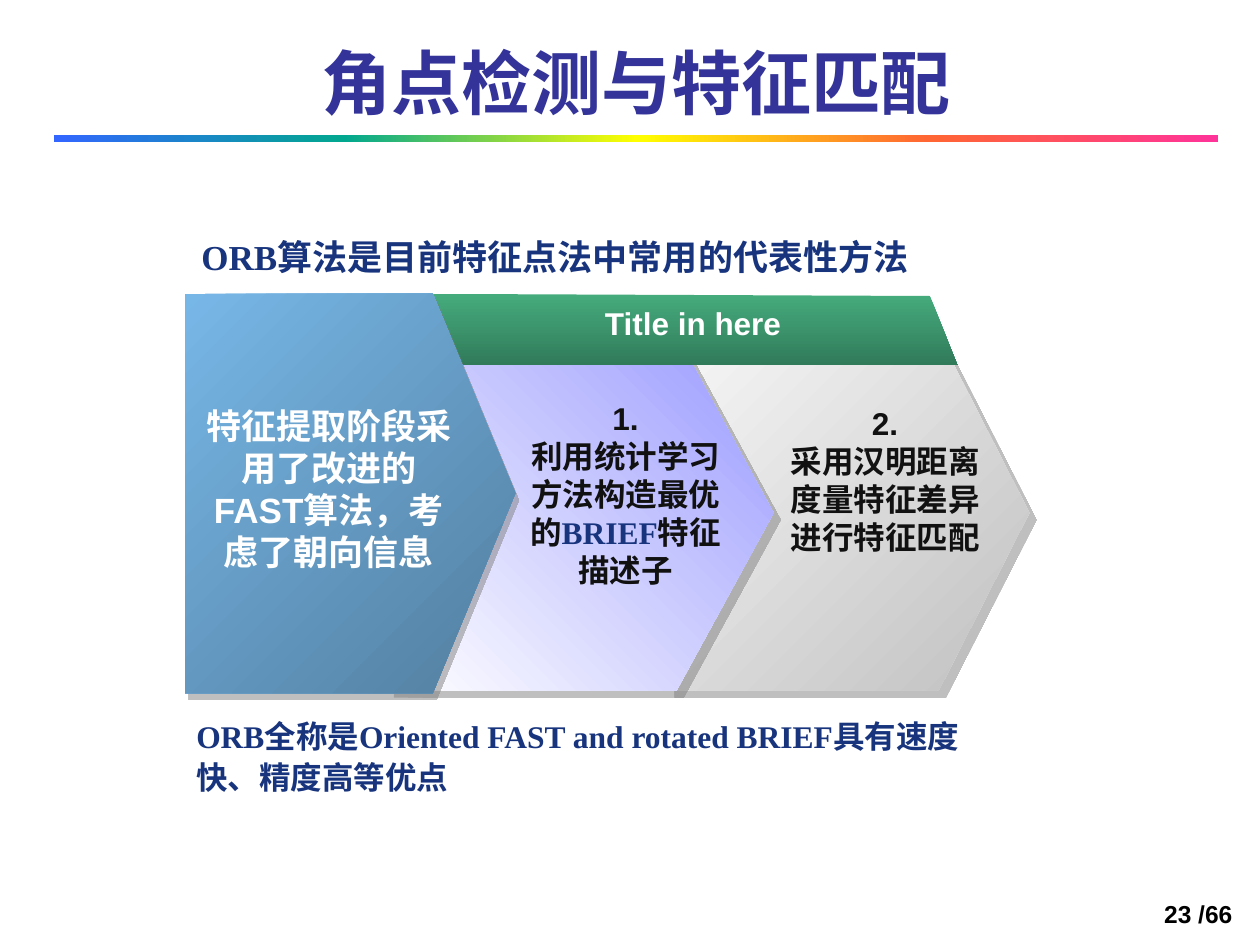
from dataclasses import dataclass
from typing import NamedTuple, Optional

from lxml import etree
from pptx import Presentation
from pptx import util as u
from pptx.dml.color import RGBColor
from pptx.enum import shapes, text
from pptx.oxml import ns

WIDTH, HEIGHT = u.Inches(10), u.Inches(7.5)


@dataclass(frozen=True)
class Theme:
    title: str = "333399"
    navy: str = "17347D"
    dark: str = "111111"
    white: str = "FFFFFF"
    black: str = "000000"
    shadow: str = "808080"
    sans: str = "Arial"
    serif: str = "Times New Roman"
    cjk: str = "Noto Sans CJK SC"
    title_pt: int = 40
    lead_pt: int = 20
    body_pt: int = 18
    page_pt: int = 14


T = Theme()


class Box(NamedTuple):
    """Left, top, width and height in percent of the slide."""
    x: float
    y: float
    w: float
    h: float

    def emu(self) -> tuple:
        return px(self.x), py(self.y), px(self.w), py(self.h)


class Stop(NamedTuple):
    pos: float
    color: str
    shade: Optional[float] = None


class Gradient(NamedTuple):
    angle: int  # clockwise degrees
    stops: list


class Shadow(NamedTuple):
    dist: float  # points
    angle: int


class Arrow(NamedTuple):
    box: Box
    adj: float
    fill: Gradient
    shadow: Shadow


class Run(NamedTuple):
    text: str
    color: str
    font: str = T.sans


class Label(NamedTuple):
    box: Box
    paragraphs: list
    size: int
    align: text.PP_ALIGN = text.PP_ALIGN.CENTER
    spacing: Optional[float] = None
    anchor: text.MSO_ANCHOR = text.MSO_ANCHOR.TOP
    fit: bool = True


def px(share: float) -> int:
    return round(WIDTH * share / 100)


def py(share: float) -> int:
    return round(HEIGHT * share / 100)


def child(parent, tag: str, **attrs):
    return etree.SubElement(parent, ns.qn(tag), {k: str(v) for k, v in attrs.items()})


def paint(sp, gradient: Gradient, shadow: Optional[Shadow] = None) -> None:
    """Give a shape a gradient, no outline and an optional hard shadow."""
    sp.fill.gradient()
    sp.line.fill.background()
    sp.shadow.inherit = False
    props = sp._element.spPr
    grad = props.find(ns.qn("a:gradFill"))
    for old in list(grad):
        grad.remove(old)
    stops = child(grad, "a:gsLst")
    for stop in gradient.stops:
        gs = child(stops, "a:gs", pos=round(stop.pos * 1000))
        color = child(gs, "a:srgbClr", val=stop.color)
        if stop.shade:
            child(color, "a:shade", val=round(stop.shade * 1000))
    child(grad, "a:lin", ang=gradient.angle * 60000, scaled=0)
    if shadow:
        outer = child(props.find(ns.qn("a:effectLst")), "a:outerShdw", blurRad=0,
                      dist=u.Pt(shadow.dist), dir=shadow.angle * 60000,
                      algn="ctr", rotWithShape=0)
        child(child(outer, "a:srgbClr", val=T.shadow), "a:alpha", val=50000)


def add_run(p, run: Run, size: int) -> None:
    r = p.add_run()
    r.text = run.text
    r.font.size, r.font.bold, r.font.name = u.Pt(size), True, run.font
    r.font.color.rgb = RGBColor.from_string(run.color)
    child(r._r.get_or_add_rPr(), "a:ea", typeface=T.cjk)


def write(sp, label: Label) -> None:
    sp.left, sp.top, sp.width, sp.height = label.box.emu()
    tf = sp.text_frame
    tf.word_wrap = True
    tf.vertical_anchor = label.anchor
    tf.auto_size = (text.MSO_AUTO_SIZE.SHAPE_TO_FIT_TEXT if label.fit
                    else text.MSO_AUTO_SIZE.NONE)
    for i, runs in enumerate(label.paragraphs):
        p = tf.add_paragraph() if i else tf.paragraphs[0]
        p.alignment = label.align
        if label.spacing:
            p.line_spacing = label.spacing
        for run in runs:
            add_run(p, run, label.size)


def add_arrow(slide, arrow: Arrow) -> None:
    sp = slide.shapes.add_shape(shapes.MSO_SHAPE.PENTAGON, *arrow.box.emu())
    sp.adjustments[0] = arrow.adj
    paint(sp, arrow.fill, arrow.shadow)


def add_banner(slide, points: list, fill: Gradient) -> None:
    corners = [(px(x), py(y)) for x, y in points]
    builder = slide.shapes.build_freeform(*corners[0])
    builder.add_line_segments(corners[1:], close=True)
    paint(builder.convert_to_shape(), fill)


# Gradients
RAINBOW = Gradient(0, [Stop(0, "3366FF"), Stop(25, "01A78F"), Stop(50, "FFFF00"),
                       Stop(75, "FF6633"), Stop(100, "FF3399")])
GRAY = Gradient(45, [Stop(0, "F7F7F7"), Stop(100, "C0C0C0")])
LILAC = Gradient(315, [Stop(0, "FFFFFF"), Stop(100, "9999FF")])
GREEN = Gradient(90, [Stop(0, "45AB7D"), Stop(100, "45AB7D", 47.5)])
BLUE = Gradient(45, [Stop(0, "77B7E7"), Stop(100, "77B7E7", 42.75)])

# Process arrows, back to front
STEP_SHADOW = Shadow(5.7, 45)
STEPS = [Arrow(Box(53, 35.47, 28.7, 37.6), 0.255, GRAY, STEP_SHADOW),
         Arrow(Box(30.7, 35.47, 30.7, 37.6), 0.273, LILAC, STEP_SHADOW)]
LEAD = Arrow(Box(14.7, 31.07, 26.2, 42.27), 0.25, BLUE, Shadow(4.5, 63))
BANNER = [(28.4, 31.07), (29.6, 38.67), (76, 38.67), (73.8, 31.33)]

# Texts
LEFT, RIGHT = text.PP_ALIGN.LEFT, text.PP_ALIGN.RIGHT
BOTTOM = text.MSO_ANCHOR.BOTTOM
TITLE = Label(Box(4.3, 1.07, 92.4, 12.67),
              [[Run("角点检测与特征匹配", T.title, T.cjk)]],
              T.title_pt, anchor=BOTTOM, fit=False)
LABELS = [
    Label(Box(78, 92.27, 20.8, 6.67), [[Run("23 /66", T.black)]],
          T.page_pt, RIGHT, anchor=BOTTOM, fit=False),
    Label(Box(15.3, 42.13, 21.6, 19.33),
          [[Run("特征提取阶段采用了改进的FAST算法，考虑了朝向信息", T.white)]], T.lead_pt),
    Label(Box(35.9, 31.47, 38.2, 5.33), [[Run("Title in here", T.white)]], T.body_pt),
    Label(Box(61.1, 42.13, 18.3, 17.47),
          [[Run("2.", T.dark)], [Run("采用汉明距离度量特征差异进行特征匹配", T.dark)]],
          T.body_pt),
    Label(Box(15, 24.27, 69.2, 5.87),
          [[Run("ORB算法是目前特征点法中常用的代表性方法", T.navy, T.serif)]],
          T.lead_pt, LEFT),
    Label(Box(40.5, 41.6, 18.3, 21.6),
          [[Run("1.", T.dark)],
           [Run("利用统计学习方法构造最优的", T.dark), Run("BRIEF", T.navy, T.serif),
            Run("特征描述子", T.dark)]], T.body_pt),
    Label(Box(14.6, 74.8, 63.4, 9.87),
          [[Run("ORB全称是Oriented FAST and rotated BRIEF具有速度快、精度高等优点",
                T.navy, T.serif)]], T.body_pt, LEFT, 1.1),
]


def main() -> None:
    prs = Presentation()
    prs.slide_width, prs.slide_height = WIDTH, HEIGHT
    slide = prs.slides.add_slide(prs.slide_layouts[5])

    # Title and rainbow rule
    write(slide.shapes.title, TITLE)
    rule = slide.shapes.add_shape(shapes.MSO_SHAPE.RECTANGLE,
                                  *Box(4.3, 14.27, 92.4, 0.8).emu())
    paint(rule, RAINBOW)

    # Arrows, with the banner between the steps and the lead
    for step in STEPS:
        add_arrow(slide, step)
    add_banner(slide, BANNER, GREEN)
    add_arrow(slide, LEAD)

    for label in LABELS:
        write(slide.shapes.add_textbox(*label.box.emu()), label)
    prs.save("out.pptx")


if __name__ == "__main__":
    main()
